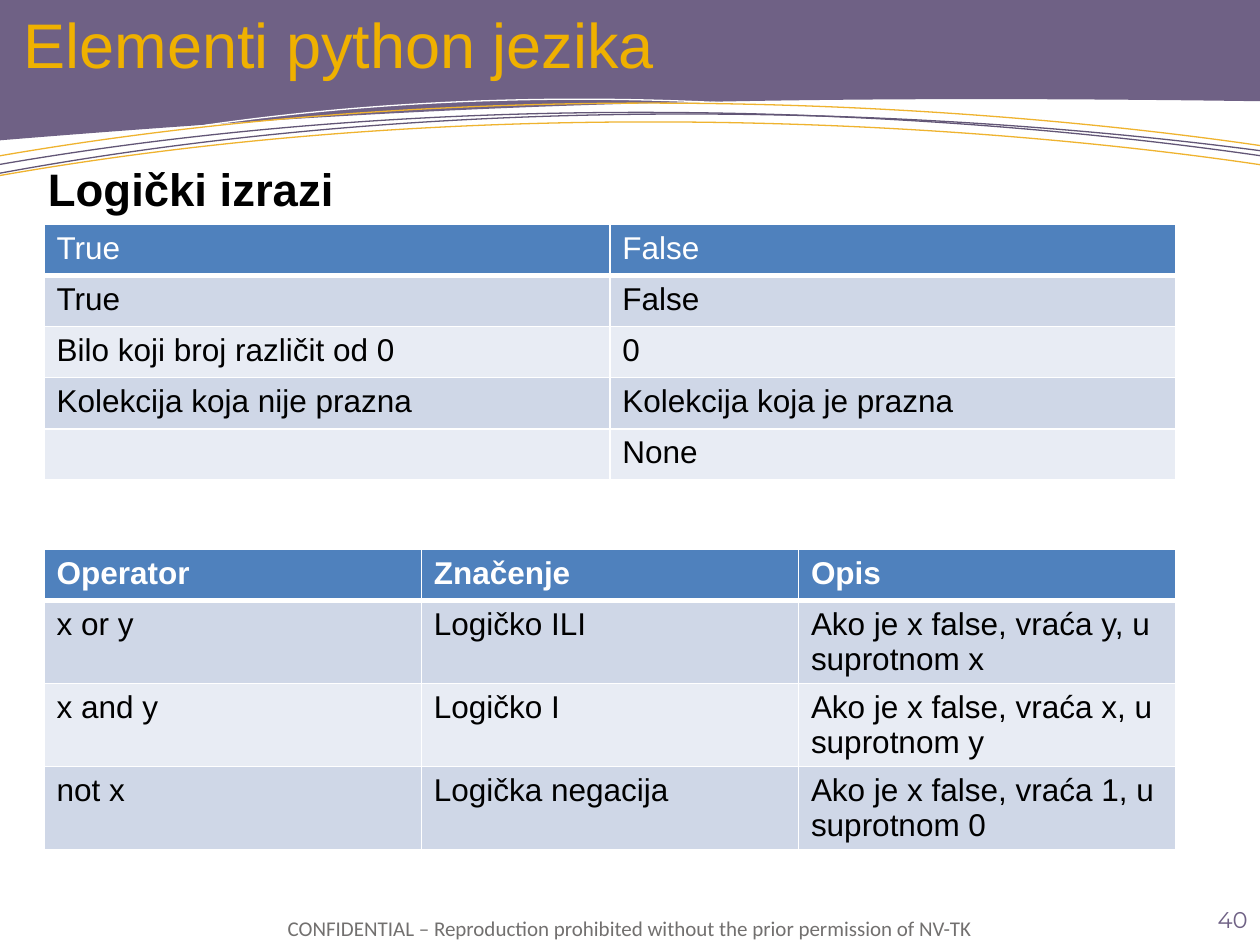
from dataclasses import dataclass

from lxml.etree import SubElement
from pptx import Presentation
from pptx.dml.color import RGBColor
from pptx.enum.text import MSO_ANCHOR, MSO_AUTO_SIZE, PP_ALIGN
from pptx.oxml.ns import qn
from pptx.util import Inches, Pt


@dataclass(frozen=True)
class Theme:
    font: str = "Arial"
    footer_font: str = "Calibri"
    number_font: str = "Montserrat"
    band: str = "6F6185"
    violet: str = "625676"
    gold: str = "EFB32F"
    title: str = "EFB100"
    ink: str = "000000"
    white: str = "FFFFFF"
    footer: str = "72706F"
    header: str = "4F81BD"
    rows: tuple = ("CFD7E7", "E8ECF4")
    title_size: int = 36
    heading_size: int = 26
    table_size: int = 18
    number_size: int = 13
    footer_size: int = 12


THEME = Theme()

WAVES = [
    (THEME.white, [(-0.02, 1.31), (3.5, 0.46), (6.81, 0.86), (7.95, 1.04)]),
    (THEME.gold, [(-0.02, 1.24), (4.42, 0.47), (8.61, 0.95), (10.03, 1.16)]),
    (THEME.violet, [(-0.03, 1.31), (4.4, 0.54), (8.59, 1.03), (10.03, 1.24)]),
    (THEME.gold, [(-0.04, 1.4), (4.37, 0.62), (8.55, 1.09), (10.02, 1.31)]),
    (THEME.violet, [(-0.03, 1.38), (4.39, 0.56), (8.6, 1.01), (10.03, 1.2)]),
]

TRUTH_ROWS = [
    ("True", "False"),
    ("True", "False"),
    ("Bilo koji broj različit od 0", "0"),
    ("Kolekcija koja nije prazna", "Kolekcija koja je prazna"),
    ("", "None"),
]

OPERATOR_ROWS = [
    ("Operator", "Značenje", "Opis"),
    ("x or y", "Logičko ILI", "Ako je x false, vraća y, u suprotnom x"),
    ("x and y", "Logičko I", "Ako je x false, vraća x, u suprotnom y"),
    ("not x", "Logička negacija", "Ako je x false, vraća 1, u suprotnom 0"),
]


def rgb(color):
    return RGBColor.from_string(color)


def write_text(frame, text, *, size, color, font=THEME.font, bold=False,
               align=PP_ALIGN.LEFT, anchor=MSO_ANCHOR.TOP, inset=0.05):
    frame.word_wrap = True
    frame.vertical_anchor = anchor
    frame.margin_left = frame.margin_right = Inches(0.1)
    frame.margin_top = frame.margin_bottom = Inches(inset)
    paragraph = frame.paragraphs[0]
    paragraph.alignment = align
    run = paragraph.add_run()
    run.text = text
    run.font.name = font
    run.font.size = Pt(size)
    run.font.bold = bold
    run.font.color.rgb = rgb(color)
    return paragraph


def place(shape, box):
    shape.left, shape.top, shape.width, shape.height = map(Inches, box)


def bend_segments(shape, first):
    segments = list(shape._element.iter(qn("a:lnTo")))[first:first + 3]
    curve = segments[0].makeelement(qn("a:cubicBezTo"))
    segments[0].addprevious(curve)
    for segment in segments:
        curve.append(segment[0])
        segment.getparent().remove(segment)


def draw_curve(slide, points, color, line_width, curve_start=0, filled=False):
    scaled = [(Inches(x), Inches(y)) for x, y in points]
    builder = slide.shapes.build_freeform(*scaled[0])
    builder.add_line_segments(scaled[1:], close=filled)
    shape = builder.convert_to_shape()
    bend_segments(shape, curve_start)
    shape.shadow.inherit = False
    if filled:
        shape.fill.solid()
        shape.fill.fore_color.rgb = rgb(color)
    else:
        shape.fill.background()
    shape.line.color.rgb = rgb(color)
    shape.line.width = Pt(line_width)


def add_banner(slide, width):
    band = [(0, 0), (width, 0), (width, 0.79), (5.7, 0.73), (3.31, 0.83), (0, 1.1), (0, 0)]
    draw_curve(slide, band, THEME.band, 2, curve_start=2, filled=True)
    for color, controls in WAVES:
        draw_curve(slide, controls, color, 0.75)


def add_title(slide, box, text):
    title = slide.shapes.title
    place(title, box)
    paragraph = write_text(title.text_frame, text, size=THEME.title_size,
                           color=THEME.title, anchor=MSO_ANCHOR.MIDDLE, inset=0.08)
    title.text_frame.auto_size = MSO_AUTO_SIZE.NONE
    paragraph.line_spacing = 0.83


def add_heading(slide, box, text):
    body = slide.placeholders[1]
    place(body, box)
    paragraph = write_text(body.text_frame, text, size=THEME.heading_size,
                           color=THEME.ink, bold=True)
    body.text_frame.auto_size = MSO_AUTO_SIZE.NONE
    paragraph.space_before = Pt(3)
    properties = paragraph._p.get_or_add_pPr()
    properties.set("marL", str(Inches(0.38)))
    properties.set("indent", str(Inches(-0.38)))
    SubElement(properties, qn("a:buNone"))


def add_label(slide, box, text, **style):
    label = slide.shapes.add_textbox(*map(Inches, box))
    write_text(label.text_frame, text, **style)


def set_borders(cell, **widths):
    properties = cell._tc.get_or_add_tcPr()
    for side in "LRTB":
        line = SubElement(properties, qn(f"a:ln{side}"), w=str(Pt(widths.get(side, 1))))
        fill = SubElement(line, qn("a:solidFill"))
        SubElement(fill, qn("a:srgbClr"), val=THEME.white)


def add_grid(slide, box, rows, bold_header):
    frame = slide.shapes.add_table(len(rows), len(rows[0]), *map(Inches, box))
    for row_index, row in enumerate(rows):
        is_header = row_index == 0
        color = THEME.header if is_header else THEME.rows[(row_index - 1) % 2]
        widths = {0: {"B": 3}, 1: {"T": 3}}.get(row_index, {})
        for column_index, text in enumerate(row):
            cell = frame.table.cell(row_index, column_index)
            set_borders(cell, **widths)
            cell.fill.solid()
            cell.fill.fore_color.rgb = rgb(color)
            if text:
                write_text(cell.text_frame, text, size=THEME.table_size,
                           color=THEME.white if is_header else THEME.ink,
                           bold=is_header and bold_header)


def main():
    presentation = Presentation()
    presentation.slide_width = Inches(10)
    presentation.slide_height = Inches(7.5)
    slide = presentation.slides.add_slide(presentation.slide_layouts[1])
    title_and_body = [shape._element for shape in slide.placeholders]
    add_banner(slide, 10)
    add_label(slide, (2.03, 7.27, 5.94, 0.23),
              "CONFIDENTIAL – Reproduction prohibited without the prior permission of NV-TK",
              size=THEME.footer_size, color=THEME.footer, font=THEME.footer_font,
              align=PP_ALIGN.CENTER, inset=0)
    add_label(slide, (8.83, 7.14, 1.17, 0.33), "40", size=THEME.number_size,
              color=THEME.band, font=THEME.number_font, align=PP_ALIGN.RIGHT)
    for element in title_and_body:
        slide.shapes._spTree.append(element)
    add_title(slide, (0.09, 0, 8.66, 0.79), "Elementi python jezika")
    add_heading(slide, (0.28, 1.23, 9.72, 5.98), "Logički izrazi")
    add_grid(slide, (0.35, 1.78, 8.98, 2.03), TRUTH_ROWS, bold_header=False)
    add_grid(slide, (0.35, 4.36, 8.98, 1.62), OPERATOR_ROWS, bold_header=True)
    presentation.save("out.pptx")


if __name__ == "__main__":
    main()
